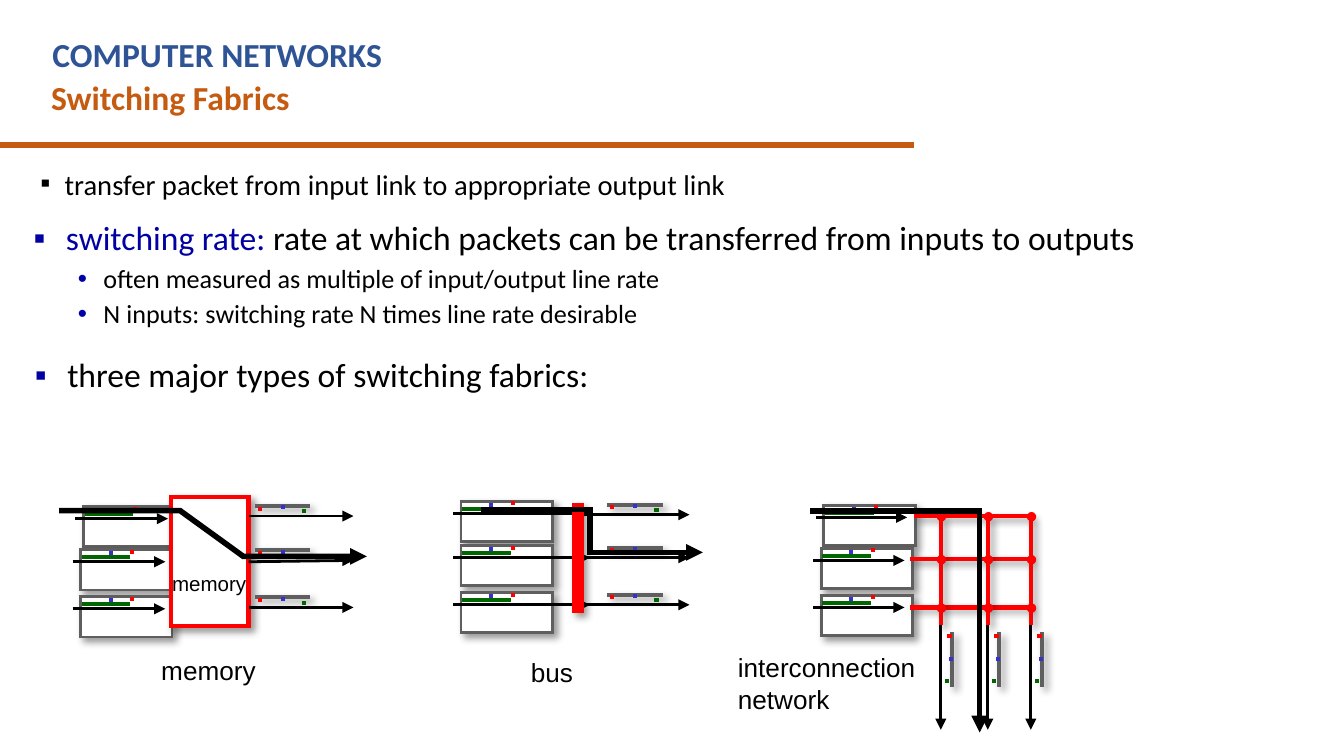
from itertools import product
from typing import NamedTuple

from lxml.etree import SubElement as Sub
from pptx import Presentation
from pptx.dml.color import RGBColor
from pptx.enum.shapes import MSO_CONNECTOR as Conn, MSO_SHAPE as Shape
from pptx.oxml.ns import qn
from pptx.util import Inches, Pt

BLACK, WHITE, GRAY, RED = "000000", "FFFFFF", "5F5F5F", "FF0000"
GREEN, BLUE, NAVY, RUST = "006600", "3333CC", "0000A3", "C55A11"
DOT = 0.01


class Port(NamedTuple):
    x: float
    y: float
    reach: float


class Run(NamedTuple):
    text: str
    size: float
    color: str = BLACK
    font: str = "Calibri"
    bold: bool = False


class Para(NamedTuple):
    runs: list[Run]
    mark: str = ""
    tint: str = NAVY
    left: float = 0
    hang: float = 0
    gap: float = 1
    before: float = 0
    level: int = 0


def rgb(code: str) -> RGBColor:
    return RGBColor.from_string(code)


def style(item, color: str, width: float, shade=False, arrow=False) -> None:
    """Set line, shadow and arrowhead."""
    item.line.color.rgb = rgb(color)
    item.line.width = Pt(width)
    props = item._element.spPr
    edge = props.find(qn("a:ln"))
    Sub(edge, qn("a:miter"), lim="800000")
    if arrow:
        Sub(edge, qn("a:tailEnd"), type="triangle")
    effects = Sub(props, qn("a:effectLst"))
    if shade:
        cast = Sub(effects, qn("a:outerShdw"), blurRad=str(Pt(4)), dist=str(Pt(3)),
                   dir="2700000", algn="ctr", rotWithShape="0")
        Sub(Sub(cast, qn("a:srgbClr"), val=BLACK), qn("a:alpha"), val="40000")


def rect(x: float, y: float, w: float, h: float, color: str, width=1.5, shade=False):
    box = shapes.add_shape(Shape.RECTANGLE, *map(Inches, (x, y, w, h)))
    box.fill.solid()
    box.fill.fore_color.rgb = rgb(WHITE)
    style(box, color, width, shade)
    return box


def line(x1: float, y1: float, x2: float, y2: float, color=BLACK, width=1.5,
         shade=False, arrow=False):
    link = shapes.add_connector(Conn.STRAIGHT, *map(Inches, (x1, y1, x2, y2)))
    style(link, color, width, shade, arrow)
    return link


def route(*points: tuple[float, float]) -> None:
    """Draw the thick path of one packet."""
    spots = [(Inches(x), Inches(y)) for x, y in points]
    pen = shapes.build_freeform(*spots[0])
    pen.add_line_segments(spots[1:], close=False)
    path = pen.convert_to_shape()
    path.fill.background()
    style(path, BLACK, 3, arrow=True)


def text(x: float, y: float, w: float, h: float, *paras: Para) -> None:
    frame = shapes.add_textbox(*map(Inches, (x, y, w, h))).text_frame
    form = dict(word_wrap=True, margin_left=Inches(0.07), margin_right=Inches(0.07),
                margin_top=Inches(0.04), margin_bottom=Inches(0.04))
    for key, value in form.items():
        setattr(frame, key, value)
    for i, para in enumerate(paras):
        block = frame.add_paragraph() if i else frame.paragraphs[0]
        form = dict(level=para.level, line_spacing=para.gap, space_before=Pt(para.before))
        for key, value in form.items():
            setattr(block, key, value)
        if para.mark:
            props = block._p.get_or_add_pPr()
            props.set("marL", str(Inches(para.left)))
            props.set("indent", str(Inches(para.hang)))
            Sub(Sub(props, qn("a:buClr")), qn("a:srgbClr"), val=para.tint)
            Sub(props, qn("a:buFont"), typeface="Arial")
            Sub(props, qn("a:buChar"), char=para.mark)
        for part in para.runs:
            run = block.add_run()
            run.text = part.text
            form = dict(name=part.font, size=Pt(part.size), bold=part.bold)
            for key, value in form.items():
                setattr(run.font, key, value)
            run.font.color.rgb = rgb(part.color)


def label(x: float, y: float, w: float, h: float, *words: str, size=14) -> None:
    text(x, y, w, h, *(Para([Run(word, size, font="Arial")]) for word in words))


def entry(port: Port) -> None:
    """Draw an input port: a queue box with its marks and arrow."""
    x, y, reach = port
    rect(x, y, 0.68, 0.3, GRAY, shade=True)
    rect(x + 0.02, y + 0.05, 0.34, DOT, GREEN)
    rect(x + 0.22, y + 0.02, DOT, DOT, BLUE)
    rect(x + 0.38, y + 0.01, DOT, DOT, RED)
    line(x - 0.06, y + 0.09, x - 0.06 + reach, y + 0.09, arrow=True)


def leave(x: float, y: float, start=-0.06, down=False):
    """Draw an output port, across or turned down, and return its arrow."""
    def turn(along: float, off: float) -> tuple[float, float]:
        return (x - off, y + along) if down else (x + along, y + off)

    rect(x, y, *((DOT, 0.39) if down else (0.39, DOT)), GRAY, shade=True)
    for along, off, color in ((0.35, 0.04, GREEN), (0.19, 0.01, BLUE), (0.02, 0.02, RED)):
        rect(*turn(along, off), DOT, DOT, color)
    return line(*turn(start, 0.08), *turn(start + 0.78, 0.08), arrow=True)


deck = Presentation()
deck.slide_width = Inches(10)
deck.slide_height = deck.slide_width * 9 // 16
shapes = deck.slides.add_slide(deck.slide_layouts[6]).shapes

line(-0.01, 1.08, 6.8, 1.08, RUST, 3)
text(0.32, 0.21, 6.15, 0.38, Para([Run("COMPUTER NETWORKS", 18, "2F5496", bold=True)]))
text(0.31, 0.53, 6.56, 0.38, Para([Run("Switching Fabrics", 18, RUST, bold=True)]))

# Bus
for y in (3.73, 4.06, 4.41):
    entry(Port(3.43, y, 1.02))
line(4.3, 3.74, 4.3, 4.56, RED, 6, shade=True)
for y in (3.75, 4.07, 4.42):
    leave(4.53, y, -0.18)
label(3.88, 4.84, 0.68, 0.31, "bus")
route((3.58, 3.79), (4.39, 3.79), (4.39, 4.11), (5.23, 4.11))

# Memory
for x, y in ((0.62, 3.77), (0.6, 4.09), (0.6, 4.44)):
    entry(Port(x, y, 0.69))
store = rect(1.27, 3.7, 0.58, 0.96, RED, 2.25, shade=True)
arrows = [leave(1.91, y) for y in (3.76, 4.09, 4.44)]
arrows[1].begin_connect(store, 3)
label(1.13, 4.83, 1.17, 0.31, "memory")
label(1.21, 4.21, 0.78, 0.26, "memory", size=11)
route((0.44, 3.8), (1.34, 3.8), (1.81, 4.14), (2.73, 4.14))

# Interconnection network
rows, cols = (3.84, 4.16, 4.52), (7, 7.35, 7.67)
for x, y in ((6.13, 3.76), (6.11, 4.08), (6.11, 4.43)):
    entry(Port(x, y, 0.68))
for x in reversed(cols):
    leave(x + 0.08, 4.71, down=True)
for y, x in zip(rows, (6.8, 6.77, 6.77)):
    line(x, y, cols[-1], y, RED, 2.25, shade=True)
for x in cols:
    line(x, 4.65, x, rows[0], RED, 2.25, shade=True)
for x, y in product(cols, rows):
    node = shapes.add_shape(Shape.OVAL, *map(Inches, (x - 0.03, y - 0.03, 0.07, 0.07)))
    node.fill.solid()
    node.fill.fore_color.rgb = rgb(RED)
    node.line.fill.background()
    node.shadow.inherit = False
label(5.42, 4.81, 1.65, 0.55, "interconnection", "network")
route((6.03, 3.8), (7.29, 3.8), (7.29, 5.45))

# Bullets
main = dict(mark="▪", left=0.29, hang=-0.24, gap=0.9)
sub = dict(mark="•", tint="0000A8", left=0.57, hang=-0.19, gap=0.9, before=4, level=1)
text(0.14, 2.63, 9.05, 0.54,
     Para([Run("three major types of switching fabrics:", 18)], **main))
text(0.22, 1.27, 9.05, 0.52,
     Para([Run("transfer packet from input link to appropriate output link", 15.3)],
          "▪", BLACK, 0.19, -0.18, 0.7))
text(0.13, 1.61, 9.05, 0.91,
     Para([Run("switching rate: ", 18, NAVY),
           Run("rate at which packets can be transferred from inputs to outputs", 18)], **main),
     Para([Run("often measured as multiple of input/output line rate", 14)], **sub),
     Para([Run("N inputs: switching rate N times line rate desirable", 14)], **sub))

deck.save("out.pptx")
